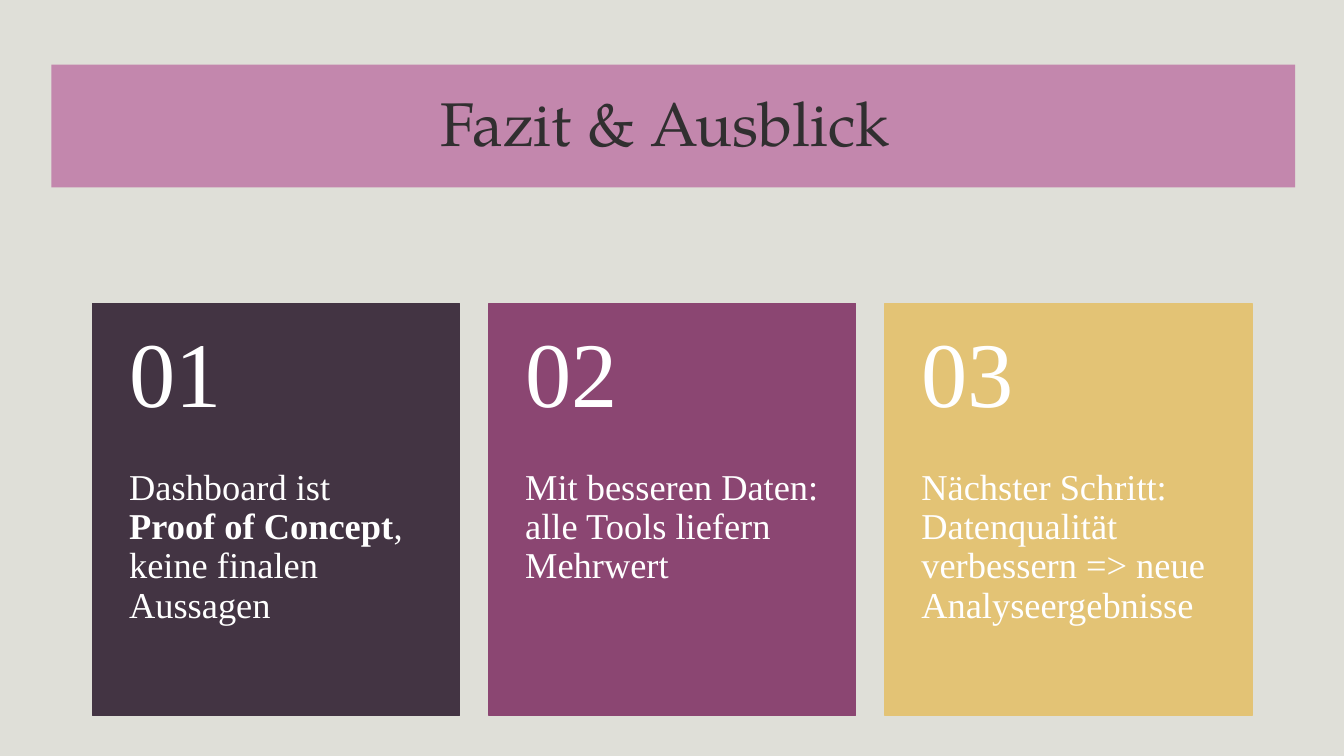
from dataclasses import dataclass

from pptx import Presentation
from pptx.dml.color import RGBColor as Rgb
from pptx.enum.shapes import MSO_SHAPE as Shape
from pptx.enum.text import MSO_ANCHOR as Anchor, PP_ALIGN as Align
from pptx.util import Pt

COLORS = {
    "back": "DFDFD8",
    "band": "C387AD",
    "ink": "312F30",
    "white": "FFFFFF",
    "plum": "433443",
    "berry": "8B4672",
    "gold": "E3C375",
}
HEAD_FONT = "TeX Gyre Pagella"
BODY_FONT = "Times New Roman"

LEFT, TOP, WIDTH, HEIGHT = 66.24, 216.72, 262.08, 294.48
STEP = 282.96
NUM_TOP, NUM_HEIGHT = 210.96, 118.08
TEXT_TOP, TEXT_HEIGHT = 334.8, 176.4
PAD = 26


@dataclass
class Card:
    color: str
    words: list[str]
    bold: int = -1  # index of the bold piece


CARDS = [
    Card("plum", ["Dashboard ist ", "Proof of Concept", ", keine finalen Aussagen"], 1),
    Card("berry", ["Mit besseren Daten: alle Tools liefern Mehrwert"]),
    Card("gold", ["Nächster Schritt: Datenqualität verbessern => neue Analyseergebnisse"]),
]


def color(name: str) -> Rgb:
    return Rgb.from_string(COLORS[name])


def add_rect(slide, box: tuple, fill: str, line: bool):
    rect = slide.shapes.add_shape(Shape.RECTANGLE, *map(Pt, box))
    rect.shadow.inherit = False
    rect.fill.solid()
    rect.fill.fore_color.rgb = color(fill)
    if line:
        rect.line.color.rgb = color(fill)
        rect.line.width = Pt(1)
    else:
        rect.line.fill.background()
    return rect


def write(frame, words: list[str], size: float, font: str, ink: str, bold: int = -1) -> None:
    """Fill the frame with one paragraph, a run for each piece."""
    frame.word_wrap = True
    para = frame.paragraphs[0]
    para.line_spacing = 0.9
    for i, piece in enumerate(words):
        run = para.add_run()
        run.text = piece
        run.font.size = Pt(size)
        run.font.name = font
        run.font.bold = i == bold
        run.font.color.rgb = color(ink)


def add_text(slide, box: tuple, pads: tuple, anchor: Anchor,
             words: list[str], size: float, bold: int = -1) -> None:
    frame = slide.shapes.add_textbox(*map(Pt, box)).text_frame
    frame.margin_left = frame.margin_right = Pt(PAD)
    frame.margin_top, frame.margin_bottom = map(Pt, pads)
    frame.vertical_anchor = anchor
    write(frame, words, size, BODY_FONT, "white", bold)


def add_card(slide, index: int, card: Card) -> None:
    left = LEFT + index * STEP
    add_rect(slide, (left, TOP, WIDTH, HEIGHT), card.color, True)
    add_text(slide, (left, TEXT_TOP, WIDTH, TEXT_HEIGHT), (0, PAD),
             Anchor.TOP, card.words, 26, card.bold)
    add_text(slide, (left, NUM_TOP, WIDTH, NUM_HEIGHT), (PAD / 2, PAD / 2),
             Anchor.MIDDLE, [f"{index + 1:02}"], 66)


def add_title(slide) -> None:
    frame = add_rect(slide, (36.72, 46.08, 888.48, 87.84), "band", False).text_frame
    frame.vertical_anchor = Anchor.MIDDLE
    write(frame, ["Fazit & Ausblick "], 44, HEAD_FONT, "ink")
    frame.paragraphs[0].alignment = Align.CENTER


def main() -> None:
    deck = Presentation()
    deck.slide_width, deck.slide_height = Pt(960), Pt(540)
    slide = deck.slides.add_slide(deck.slide_layouts[6])
    slide.background.fill.solid()
    slide.background.fill.fore_color.rgb = color("back")
    add_title(slide)
    for index, card in enumerate(CARDS):
        add_card(slide, index, card)
    deck.save("out.pptx")


if __name__ == "__main__":
    main()
